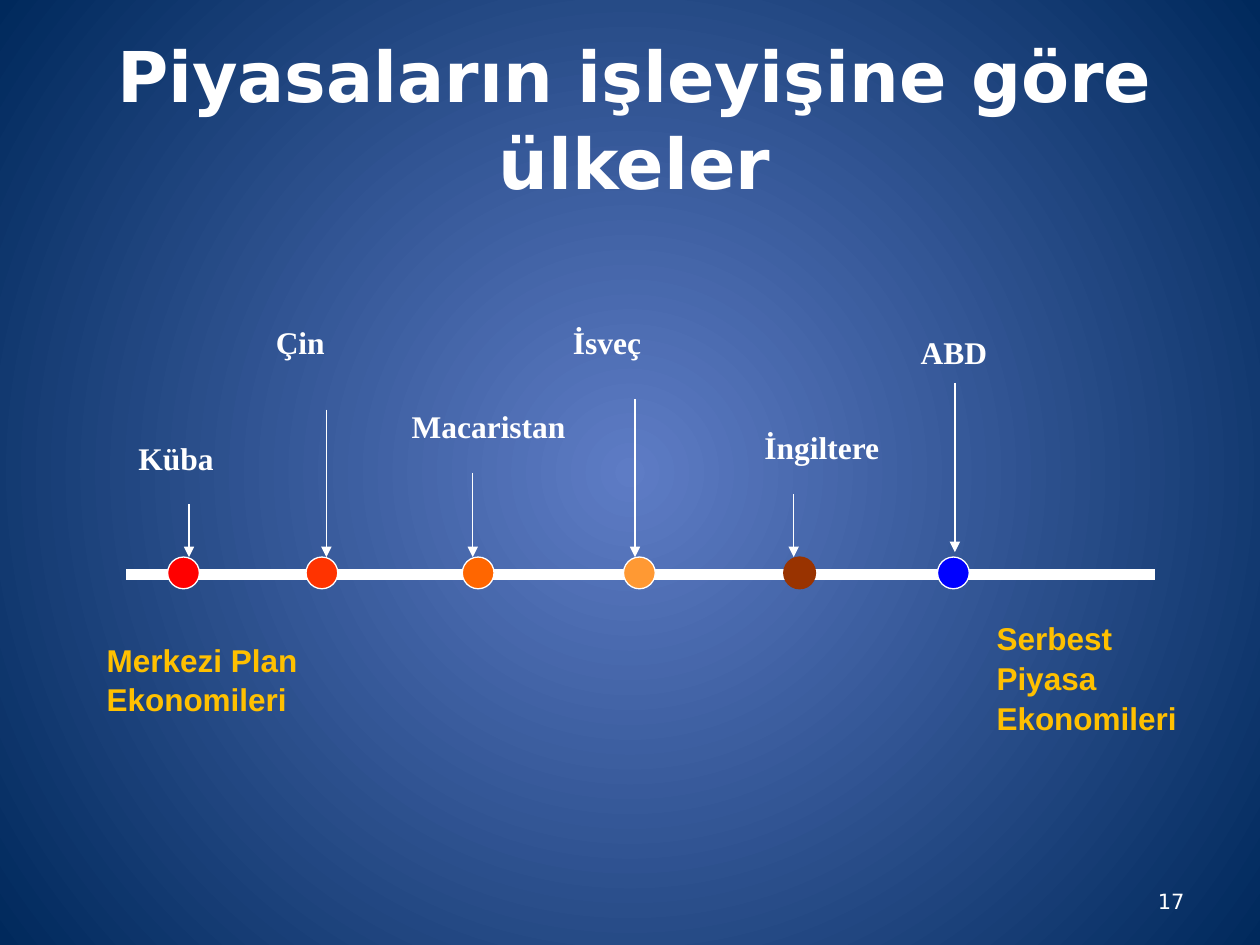
from dataclasses import dataclass

import pptx
import pptx.dml.color
import pptx.enum.shapes
import pptx.enum.text
import pptx.oxml
import pptx.oxml.ns
import pptx.util
from pptx.util import Cm

ALIGN = pptx.enum.text.PP_ALIGN
ANCHOR = pptx.enum.text.MSO_ANCHOR
NAMESPACE = pptx.oxml.ns.nsdecls("a")


@dataclass(frozen=True)
class Theme:
    white: str = "FFFFFF"
    gold: str = "FFC000"
    center: str = "5E7CC5"
    edge: str = "00295C"
    title_font: str = "DejaVu Sans"
    country_font: str = "Times New Roman"
    system_font: str = "Arial"
    title_size: int = 40
    label_size: int = 18
    number_size: int = 12
    thin: float = 0.75
    thick: float = 6


def rgb(value):
    return pptx.dml.color.RGBColor.from_string(value)


class SlideBuilder:
    """Draws elements on one slide; all lengths are in centimetres."""

    def __init__(self, slide, theme):
        self.slide = slide
        self.theme = theme

    def radial_background(self):
        fill = self.slide.background.fill
        fill.gradient()
        stops = zip(fill.gradient_stops, (self.theme.center, self.theme.edge), (0, 1))
        for stop, color, position in stops:
            stop.color.rgb = rgb(color)
            stop.position = position
        properties = self.slide.background._cSld.bg.bgPr
        linear = properties.find(".//" + pptx.oxml.ns.qn("a:lin"))
        circle = pptx.oxml.parse_xml(
            f'<a:path {NAMESPACE} path="circle">'
            '<a:fillToRect l="50000" t="50000" r="50000" b="50000"/></a:path>')
        linear.getparent().replace(linear, circle)

    def text(self, lines, box, font, size, color=None, bold=True,
             align=ALIGN.LEFT, anchor=ANCHOR.TOP, spacing=1.0):
        shape = self.slide.shapes.add_textbox(*map(Cm, box))
        frame = shape.text_frame
        frame.word_wrap = True
        frame.vertical_anchor = anchor
        frame.text = "\n".join(lines)
        for paragraph in frame.paragraphs:
            paragraph.alignment = align
            paragraph.line_spacing = spacing
            paragraph.font.name = font
            paragraph.font.size = pptx.util.Pt(size)
            paragraph.font.bold = bold
            paragraph.font.color.rgb = rgb(color or self.theme.white)

    def line(self, start, end, width, arrow=False):
        connector = self.slide.shapes.add_connector(
            pptx.enum.shapes.MSO_CONNECTOR.STRAIGHT, *map(Cm, start + end))
        connector.line.color.rgb = rgb(self.theme.white)
        connector.line.width = pptx.util.Pt(width)
        if arrow:
            connector.line._get_or_add_ln().append(
                pptx.oxml.parse_xml(f'<a:tailEnd {NAMESPACE} type="triangle"/>'))
        connector._element.spPr.append(
            pptx.oxml.parse_xml(f"<a:effectLst {NAMESPACE}/>"))

    def dot(self, left, top, diameter, fill, outline):
        shape = self.slide.shapes.add_shape(
            pptx.enum.shapes.MSO_SHAPE.OVAL,
            Cm(left), Cm(top), Cm(diameter), Cm(diameter))
        shape.shadow.inherit = False
        shape.fill.solid()
        shape.fill.fore_color.rgb = rgb(fill)
        shape.line.color.rgb = rgb(outline)
        shape.line.width = pptx.util.Pt(self.theme.thin)

    def country(self, name, label_box, arrow_x, arrow_top, arrow_bottom,
                dot_left, color, outline):
        """Labelled arrow pointing at a dot on the axis."""
        self.dot(dot_left, 11.23, 0.64, color, outline)
        self.line((arrow_x, arrow_top), (arrow_x, arrow_bottom),
                  self.theme.thin, arrow=True)
        self.text([name], label_box, self.theme.country_font,
                  self.theme.label_size, spacing=1.05)

    def system(self, lines, box):
        self.text(lines, box, self.theme.system_font, self.theme.label_size,
                  self.theme.gold, spacing=1.05)


def main():
    theme = Theme()
    presentation = pptx.Presentation()
    presentation.slide_width = Cm(25.4)
    presentation.slide_height = Cm(19.05)
    slide = presentation.slides.add_slide(presentation.slide_layouts[6])
    builder = SlideBuilder(slide, theme)

    builder.radial_background()
    builder.text(["Piyasaların işleyişine göre ülkeler"], (0.58, 0.76, 24.41, 3.18),
                 theme.title_font, theme.title_size,
                 align=ALIGN.CENTER, anchor=ANCHOR.MIDDLE, spacing=1.03)
    builder.text(["17"], (18.21, 17.65, 5.92, 1.02), theme.title_font,
                 theme.number_size, bold=False,
                 align=ALIGN.RIGHT, anchor=ANCHOR.MIDDLE)

    builder.line((2.54, 11.58), (23.29, 11.58), theme.thick)
    builder.system(["Merkezi Plan", "Ekonomileri"], (1.9, 12.75, 5.69, 2.31))
    builder.system(["Serbest", "Piyasa", "Ekonomileri"], (19.84, 12.32, 5.56, 3.33))

    # name, label left, top and width, arrow x, top and bottom, dot left, fill, outline
    countries = [
        ("Küba", 2.54, 8.69, 2.54, 3.81, 10.16, 11.23, 3.38, "FF0000", theme.white),
        ("Çin", 5.31, 6.35, 1.83, 6.58, 8.26, 11.23, 6.17, "FF3300", theme.white),
        ("Macaristan", 8.05, 8.05, 4.65, 9.53, 9.53, 11.23, 9.32, "FF6600", theme.white),
        ("İsveç", 11.3, 6.35, 2.34, 12.8, 8.05, 11.23, 12.57, "FF9933", theme.white),
        ("İngiltere", 15.16, 8.46, 3.61, 16, 9.96, 11.23, 15.8, "993300", "993300"),
        ("ABD", 18.31, 6.55, 2.31, 19.25, 7.72, 11.13, 18.9, "0000FF", theme.white),
    ]
    for name, left, top, width, *marker in countries:
        builder.country(name, (left, top, width, 1.27), *marker)

    presentation.save("out.pptx")


if __name__ == "__main__":
    main()
